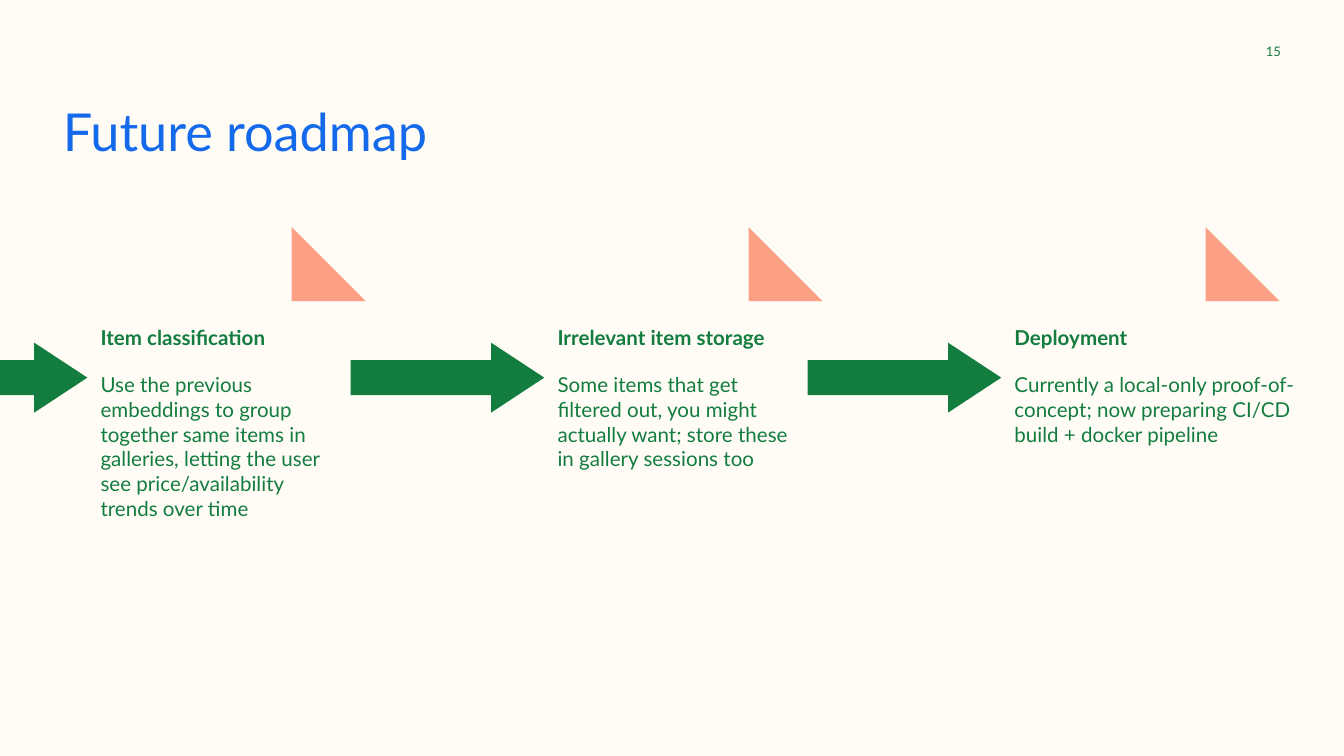
from pptx import Presentation
from pptx.dml.color import RGBColor
from pptx.enum.shapes import MSO_SHAPE
from pptx.enum.text import MSO_ANCHOR, PP_ALIGN
from pptx.util import Inches, Pt

TRIANGLE = MSO_SHAPE.RIGHT_TRIANGLE
ARROW = MSO_SHAPE.RIGHT_ARROW
LEFT = PP_ALIGN.LEFT
RIGHT = PP_ALIGN.RIGHT
TOP = MSO_ANCHOR.TOP
MIDDLE = MSO_ANCHOR.MIDDLE

CREAM = RGBColor(0xFF, 0xFC, 0xF5)
GREEN = RGBColor(0x13, 0x7C, 0x3F)
BLUE = RGBColor(0x14, 0x6A, 0xEB)
SALMON = RGBColor(0xFB, 0xA0, 0x84)

FIRST_LEFT = 0.65
COLUMN_PITCH = 3.4
ARROW_WIDTH = 1.44

STEPS = [
    ("Item classification",
     "Use the previous embeddings to group together same items in galleries, "
     "letting the user see price/availability trends over time", 1.97, 1.67),
    ("Irrelevant item storage",
     "Some items that get filtered out, you might actually want; "
     "store these in gallery sessions too", 1.95, 1.3),
    ("Deployment",
     "Currently a local-only proof-of-concept; "
     "now preparing CI/CD build + docker pipeline", 2.3, 1.3),
]


class RoadmapSlide:
    font_name = "Lato"
    text_inset = Inches(0.1)

    def __init__(self, presentation):
        self.slide = presentation.slides.add_slide(presentation.slide_layouts[6])
        fill = self.slide.background.fill
        fill.solid()
        fill.fore_color.rgb = CREAM

    def add_text(self, lines, left, top, width, height, size, color,
                 align=LEFT, anchor=TOP):
        box = self.slide.shapes.add_textbox(
            Inches(left), Inches(top), Inches(width), Inches(height))
        frame = box.text_frame
        frame.word_wrap = True
        frame.vertical_anchor = anchor
        frame.margin_left = frame.margin_right = self.text_inset
        frame.margin_top = frame.margin_bottom = self.text_inset
        frame.text = "\n".join(lines)
        for paragraph in frame.paragraphs:
            paragraph.alignment = align
            for run in paragraph.runs:
                run.font.name = self.font_name
                run.font.size = Pt(size)
                run.font.color.rgb = color
        return frame

    def add_shape(self, kind, left, top, width, height, color):
        shape = self.slide.shapes.add_shape(
            kind, Inches(left), Inches(top), Inches(width), Inches(height))
        shape.shadow.inherit = False
        shape.fill.solid()
        shape.fill.fore_color.rgb = color
        shape.line.fill.background()
        return shape

    def add_arrow(self, left, right):
        arrow = self.add_shape(ARROW, left, 2.55, right - left, 0.52, GREEN)
        arrow.adjustments[0] = 0.5
        arrow.adjustments[1] = 0.76

    def add_step(self, left, heading, body, width, height):
        self.add_shape(TRIANGLE, left + 1.52, 1.69, 0.55, 0.55, SALMON)
        self.add_arrow(max(0, left - ARROW_WIDTH), left)
        frame = self.add_text([heading, body], left, 2.32, width, height, 11, GREEN)
        heading_paragraph, body_paragraph = frame.paragraphs
        heading_paragraph.runs[0].font.bold = True
        body_paragraph.space_before = Pt(12)
        body_paragraph.space_after = Pt(12)


def main():
    presentation = Presentation()
    presentation.slide_width = Inches(10)
    presentation.slide_height = Inches(10 * 9 / 16)
    roadmap = RoadmapSlide(presentation)
    roadmap.add_text(["15"], 9.03, 0.22, 0.6, 0.32, 7, GREEN, RIGHT, MIDDLE)
    roadmap.add_text(["Future roadmap"], 0.37, 0.64, 9.27, 0.67, 28, BLUE)
    for index, step in enumerate(STEPS):
        roadmap.add_step(FIRST_LEFT + index * COLUMN_PITCH, *step)
    presentation.save("out.pptx")


if __name__ == "__main__":
    main()
